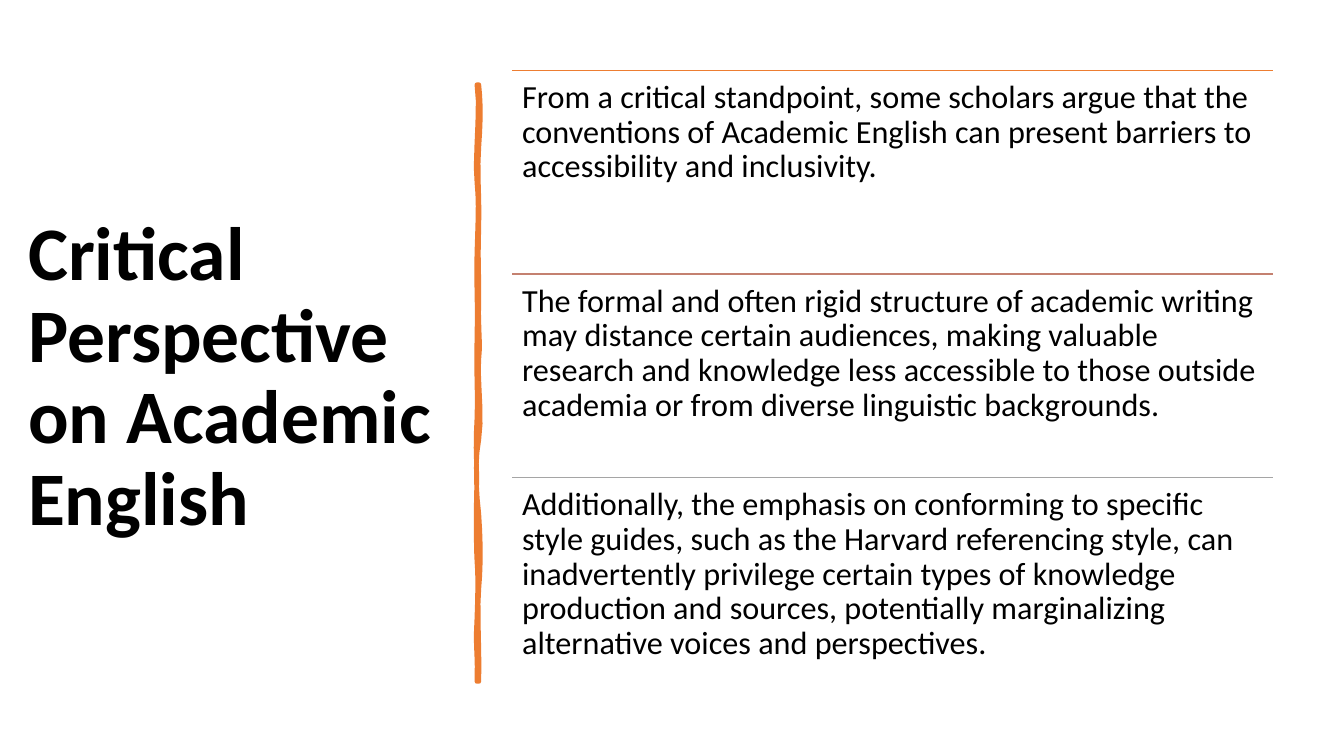
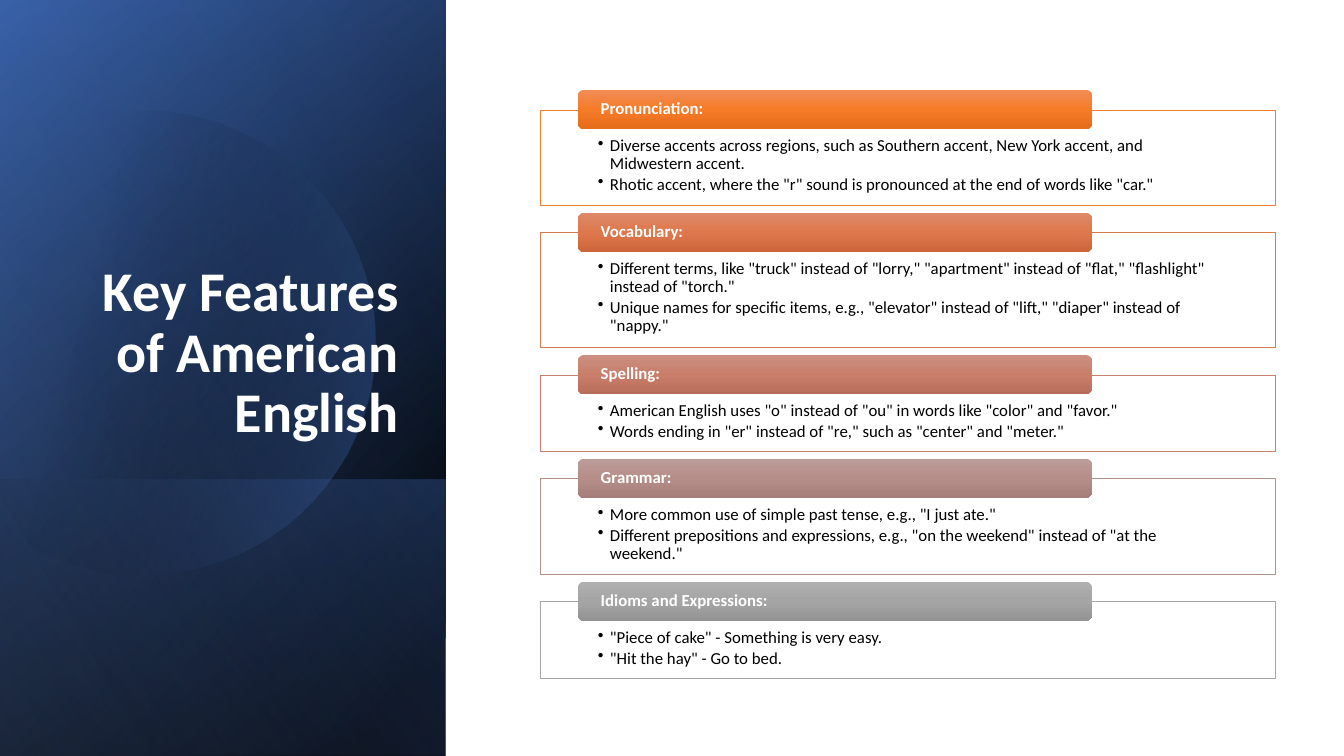
import math

from lxml.etree import SubElement
from pptx import Presentation
from pptx.dml.color import RGBColor
from pptx.enum.shapes import MSO_CONNECTOR, MSO_SHAPE
from pptx.enum.text import MSO_ANCHOR as Anchor, PP_ALIGN as Align
from pptx.oxml.ns import qn
from pptx.util import Inches, Pt

FONT = "Calibri"
BLACK, WHITE = "000000", "FFFFFF"
ORANGE, ROSE, GRAY = "ED7D31", "C48170", "A5A5A5"
BLUE, DARK_BLUE, PALE_BLUE = "4472C4", "2F5597", "8FAADC"

VIEWPOINTS = [
    (ORANGE, "From a critical standpoint, some scholars argue that the conventions of "
             "Academic English can present barriers to accessibility and inclusivity."),
    (ROSE, "The formal and often rigid structure of academic writing may distance certain "
           "audiences, making valuable research and knowledge less accessible to those "
           "outside academia or from diverse linguistic backgrounds."),
    (GRAY, "Additionally, the emphasis on conforming to specific style guides, such as the "
           "Harvard referencing style, can inadvertently privilege certain types of "
           "knowledge production and sources, potentially marginalizing alternative voices "
           "and perspectives."),
]

# Heading, outline colour, tab gradient, lines of body text, bullets
FEATURES = [
    ("Pronunciation:", ORANGE, ("F18C57", "F67B28", "E56C19"), 3, [
        "Diverse accents across regions, such as Southern accent, New York accent, and "
        "Midwestern accent.",
        'Rhotic accent, where the "r" sound is pronounced at the end of words like "car."']),
    ("Vocabulary:", "D87A51", ("DD8A6A", "DE774B", "CD673B"), 4, [
        'Different terms, like "truck" instead of "lorry," "apartment" instead of "flat," '
        '"flashlight" instead of "torch."',
        'Unique names for specific items, e.g., "elevator" instead of "lift," "diaper" '
        'instead of "nappy."']),
    ("Spelling:", ROSE, ("CB8F81", "C97E6B", "B76D5B"), 2, [
        'American English uses "o" instead of "ou" in words like "color" and "favor."',
        'Words ending in "er" instead of "re," such as "center" and "meter."']),
    ("Grammar:", "B4908B", ("BC9C99", "B68E89", "A47C78"), 3, [
        'More common use of simple past tense, e.g., "I just ate."',
        'Different prepositions and expressions, e.g., "on the weekend" instead of '
        '"at the weekend."']),
    ("Idioms and Expressions:", GRAY, ("AFAFAF", GRAY, "939393"), 2, [
        '"Piece of cake" - Something is very easy.',
        '"Hit the hay" - Go to bed.']),
]

# Bezier curves of the brush stroke: two control points and an end point each
STROKE_START = (4.75, 0.84)
STROKE_CURVES = [
    (4.77, 1.02, 4.77, 1.19, 4.75, 1.46), (4.73, 1.73, 4.76, 1.95, 4.75, 2.26),
    (4.74, 2.57, 4.75, 2.62, 4.75, 2.94), (4.74, 3.25, 4.77, 3.42, 4.75, 3.56),
    (4.73, 3.70, 4.79, 4.14, 4.75, 4.36), (4.71, 4.57, 4.72, 4.84, 4.75, 5.10),
    (4.77, 5.36, 4.77, 5.64, 4.75, 5.84), (4.73, 6.03, 4.76, 6.50, 4.75, 6.76),
    (4.74, 6.76, 4.73, 6.76, 4.73, 6.76), (4.74, 6.46, 4.71, 6.44, 4.73, 6.13),
    (4.74, 5.83, 4.74, 5.70, 4.73, 5.57), (4.72, 5.44, 4.72, 4.95, 4.73, 4.77),
    (4.73, 4.59, 4.71, 4.45, 4.73, 4.15), (4.74, 3.86, 4.72, 3.73, 4.73, 3.35),
    (4.74, 2.98, 4.72, 2.81, 4.73, 2.50), (4.74, 2.18, 4.75, 2.00, 4.73, 1.81),
    (4.70, 1.63, 4.77, 1.04, 4.73, 0.84),
]


def rgb(hex_color):
    return RGBColor.from_string(hex_color)


def style(shape, fill=None, line=None, width=1):
    """Set solid fill and outline; None means no paint."""
    shape.shadow.inherit = False
    if fill:
        shape.fill.solid()
        shape.fill.fore_color.rgb = rgb(fill)
    else:
        shape.fill.background()
    if line:
        shape.line.color.rgb = rgb(line)
        shape.line.width = Pt(width)
    else:
        shape.line.fill.background()


def shade(shape, stops, angle):
    """Fill with a gradient of (position %, colour, opacity %) stops, angle clockwise."""
    style(shape)
    shape.fill.gradient()
    shape.fill.gradient_angle = 360 - angle
    stop_list = next(shape.element.iter(qn("a:gsLst")))
    for old_stop in list(stop_list):
        stop_list.remove(old_stop)
    for position, color, opacity in stops:
        stop = SubElement(stop_list, qn("a:gs"), pos=str(position * 1000))
        paint = SubElement(stop, qn("a:srgbClr"), val=color)
        if opacity < 100:
            SubElement(paint, qn("a:alpha"), val=str(opacity * 1000))


def add_box(slide, kind, left, top, width, height):
    return slide.shapes.add_shape(kind, *map(Inches, (left, top, width, height)))


def add_outline(slide, points):
    points = [(Inches(x), Inches(y)) for x, y in points]
    builder = slide.shapes.build_freeform(*points[0], scale=1.0)
    builder.add_line_segments(points[1:], close=True)
    return builder.convert_to_shape()


def write(shape, *paragraphs, size, color=BLACK, bold=False, align=Align.LEFT,
          anchor=Anchor.TOP, insets=(0.1, 0.05, 0.1, 0.05), bullet=False):
    frame = shape.text_frame
    frame.word_wrap = True
    frame.vertical_anchor = anchor
    (frame.margin_left, frame.margin_top,
     frame.margin_right, frame.margin_bottom) = map(Inches, insets)
    for index, text in enumerate(paragraphs):
        paragraph = frame.add_paragraph() if index else frame.paragraphs[0]
        paragraph.alignment = align
        paragraph.line_spacing = 0.9
        run = paragraph.add_run()
        run.text = text
        run.font.name, run.font.size, run.font.bold = FONT, Pt(size), bold
        run.font.color.rgb = rgb(color)
        if bullet:
            paragraph.space_after = Pt(1.8)
            properties = paragraph._p.get_or_add_pPr()
            properties.set("marL", str(Inches(0.12)))
            properties.set("indent", str(-Inches(0.12)))
            SubElement(properties, qn("a:buChar"), char="•")


def add_text(slide, left, top, width, height, *paragraphs, **text_format):
    box = slide.shapes.add_textbox(*map(Inches, (left, top, width, height)))
    write(box, *paragraphs, **text_format)


def add_title(slide, box, text, **text_format):
    add_text(slide, *box, text, bold=True, **text_format)


def add_brush_stroke(slide):
    """Draw the hand-drawn vertical divider."""
    points = [STROKE_START]
    for x1, y1, x2, y2, x3, y3 in STROKE_CURVES:
        x0, y0 = points[-1]
        for t in (0.2, 0.4, 0.6, 0.8, 1):
            weights = ((1 - t) ** 3, 3 * t * (1 - t) ** 2, 3 * t * t * (1 - t), t ** 3)
            points.append(tuple(sum(w * v for w, v in zip(weights, values))
                                for values in ((x0, x1, x2, x3), (y0, y1, y2, y3))))
    style(add_outline(slide, points), ORANGE, ORANGE, 3.25)


def add_viewpoints(slide, left, top, width, height):
    row_height = height / len(VIEWPOINTS)
    for index, (color, text) in enumerate(VIEWPOINTS):
        y = top + index * row_height
        rule = slide.shapes.add_connector(
            MSO_CONNECTOR.STRAIGHT, *map(Inches, (left, y, left + width, y)))
        rule.line.color.rgb = rgb(color)
        rule.line.width = Pt(1)
        SubElement(rule.element.spPr, qn("a:effectLst"))
        add_text(slide, left, y, width, row_height, text, size=23, insets=(0.1,) * 4)


def add_turned_panel(slide, left, top, width, height, stops, angle):
    """Shade the visible box with a mirrored rectangle turned by 90 degrees."""
    shift = (width - height) / 2
    panel = add_box(slide, MSO_SHAPE.RECTANGLE, left + shift, top - shift, height, width)
    panel.rotation = 90
    panel.element.spPr.find(qn("a:xfrm")).set("flipH", "1")
    shade(panel, stops, angle)


def add_disc(slide, center_x, center_y, radius, cut_x):
    """Draw a translucent disc cut off by a vertical chord at cut_x."""
    reach = math.acos((cut_x - center_x) / radius)
    steps = 120
    angles = [reach * (2 * step / steps - 1) for step in range(steps + 1)]
    disc = add_outline(slide, [(center_x + radius * math.cos(a),
                                center_y + radius * math.sin(a)) for a in angles])
    shade(disc, [(29, BLACK, 0), (100, BLUE, 43)], 14)


def add_side_panel(slide, left, top, width, height):
    panel = (left, top, width, height)
    add_turned_panel(slide, *panel, [(8, BLACK, 100), (100, DARK_BLUE, 100)], 50)
    add_turned_panel(slide, *panel, [(0, BLACK, 0), (99, BLUE, 46)], 30)
    foot = 2.74
    add_turned_panel(slide, left, top + height - foot, width, foot,
                     [(2, BLUE, 29), (100, BLACK, 30)], 130)
    add_disc(slide, left + 1.42, top + 3.4, 2.3, left - 0.15)
    add_turned_panel(slide, *panel, [(0, BLACK, 0), (99, PALE_BLUE, 11)], 120)


def add_feature(slide, left, top, width, height, heading, color, tab_colors, bullets):
    card = add_box(slide, MSO_SHAPE.RECTANGLE, left, top, width, height)
    style(card, WHITE, color, 0.5)
    write(card, *bullets, size=12, insets=(0.57, 0.27, 0.57, 0.09), bullet=True)
    tab = add_box(slide, MSO_SHAPE.ROUNDED_RECTANGLE,
                  left + 0.37, top - 0.2, width * 0.7, 0.39)
    shade(tab, [(position, tint, 100)
                for position, tint in zip((0, 50, 100), tab_colors)], 90)
    write(tab, heading, size=12, color=WHITE, bold=True, anchor=Anchor.MIDDLE,
          insets=(0.21, 0, 0.21, 0))


def add_features(slide, left, top, width):
    for heading, color, tab_colors, lines, bullets in FEATURES:
        height = 0.38 + 0.19 * lines
        add_feature(slide, left, top, width, height, heading, color, tab_colors, bullets)
        top += height + 0.27


def build_critical_perspective(slide):
    add_title(slide, (0.18, 0.7, 4.25, 6.11), "Critical Perspective on Academic English",
              size=54, anchor=Anchor.MIDDLE)
    add_brush_stroke(slide)
    add_viewpoints(slide, 5.08, 0.7, 7.55, 6.06)


def build_key_features(slide):
    add_side_panel(slide, 0, 0, 4.42, 7.5)
    add_title(slide, (0.64, 1.84, 3.41, 2.62), "Key Features of American English",
              size=40, color=WHITE, align=Align.RIGHT, anchor=Anchor.BOTTOM)
    add_features(slide, 5.36, 1.09, 7.29)


def main():
    deck = Presentation()
    deck.slide_width, deck.slide_height = Inches(13.33), Inches(7.5)
    for build in (build_critical_perspective, build_key_features):
        build(deck.slides.add_slide(deck.slide_layouts[6]))
    deck.save("out.pptx")


if __name__ == "__main__":
    main()
